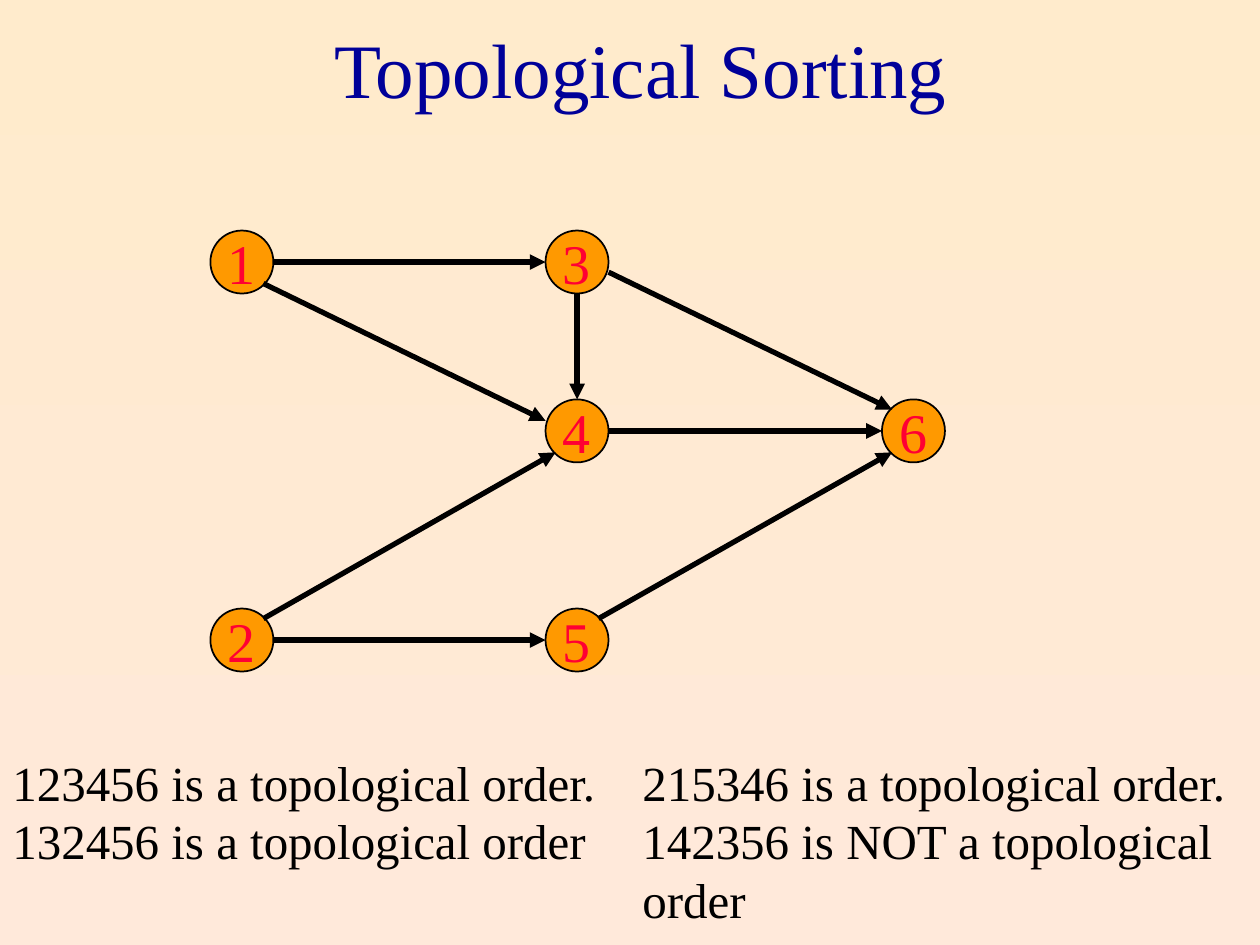
import pptx
import pptx.dml.color
import pptx.enum.shapes
import pptx.enum.text
import pptx.oxml
import pptx.oxml.ns
import pptx.util
from pptx.util import Inches

COLORS = {
    "sky": "FFEBCC",
    "ground": "FFE9DA",
    "title": "000099",
    "node": "FF9900",
    "label": "FF0033",
    "ink": "000000",
}
FONT = "Times New Roman"

# Graph layout, in inches from the top left of the graph's box
NODE_SIZE = 0.5
COLUMNS = (0, 2.66, 5.33)
ROWS = (0, 1.34, 3)
NODES = {"1": (0, 0), "4": (1, 1), "2": (0, 2), "5": (1, 2), "3": (1, 0), "6": (2, 1)}

# Points where arrows touch a node, in inches from its centre
PORTS = {
    "right": (0.25, 0),
    "left": (-0.25, 0),
    "top": (0, -0.25),
    "bottom": (0, 0.25),
    "upper right": (0.17, -0.17),
    "lower right": (0.17, 0.17),
    "upper left": (-0.17, -0.17),
    "lower left": (-0.17, 0.17),
    "left above": (-0.25, -0.08),
    "right below": (0.25, 0.08),
}
EDGES = [
    ("1", "right", "3", "left"),
    ("3", "bottom", "4", "top"),
    ("4", "right", "6", "left"),
    ("1", "lower right", "4", "left above"),
    ("3", "right below", "6", "upper left"),
    ("2", "upper right", "4", "lower left"),
    ("5", "upper right", "6", "lower left"),
    ("2", "right", "5", "left"),
]


def rgb(name):
    return pptx.dml.color.RGBColor.from_string(COLORS[name])


def write_text(shape, text, size, color, align="LEFT", anchor="TOP", wrap=False):
    """Write each line of the text as one formatted paragraph."""
    frame = shape.text_frame
    frame.text = text
    frame.word_wrap = wrap
    frame.auto_size = pptx.enum.text.MSO_AUTO_SIZE.NONE
    frame.vertical_anchor = getattr(pptx.enum.text.MSO_ANCHOR, anchor)
    for paragraph in frame.paragraphs:
        paragraph.alignment = getattr(pptx.enum.text.PP_ALIGN, align)
        paragraph.font.name = FONT
        paragraph.font.size = pptx.util.Pt(size)
        paragraph.font.color.rgb = rgb(color)


def paint_background(slide):
    fill = slide.background.fill
    fill.gradient()
    fill.gradient_angle = 270
    for stop, name in zip(fill.gradient_stops, ("sky", "ground")):
        stop.color.rgb = rgb(name)


def place_title(slide, text, left, top, width, height):
    title = slide.shapes.title
    title.left, title.top = Inches(left), Inches(top)
    title.width, title.height = Inches(width), Inches(height)
    write_text(title, text, 44, "title", align="CENTER", anchor="MIDDLE", wrap=True)


def add_node(slide, label, left, top):
    node = slide.shapes.add_shape(
        pptx.enum.shapes.MSO_SHAPE.OVAL,
        Inches(left), Inches(top), Inches(NODE_SIZE), Inches(NODE_SIZE))
    node.shadow.inherit = False
    node.fill.solid()
    node.fill.fore_color.rgb = rgb("node")
    node.line.color.rgb = rgb("ink")
    node.line.width = pptx.util.Pt(1)
    write_text(node, label, 32, "label", align="CENTER", anchor="MIDDLE")


def add_arrow(slide, start, end):
    arrow = slide.shapes.add_connector(
        pptx.enum.shapes.MSO_CONNECTOR.STRAIGHT,
        *(Inches(value) for value in start + end))
    arrow.line.color.rgb = rgb("ink")
    arrow.line.width = pptx.util.Pt(3)
    namespace = pptx.oxml.ns.nsdecls("a")
    arrow.line._get_or_add_ln().append(
        pptx.oxml.parse_xml(f'<a:tailEnd {namespace} type="triangle"/>'))
    arrow._element.spPr.append(pptx.oxml.parse_xml(f"<a:effectLst {namespace}/>"))


def draw_graph(slide, left, top):
    corners = {label: (left + COLUMNS[column], top + ROWS[row])
               for label, (column, row) in NODES.items()}

    def port(label, side):
        return tuple(corner + NODE_SIZE / 2 + offset
                     for corner, offset in zip(corners[label], PORTS[side]))

    for label, corner in corners.items():
        add_node(slide, label, *corner)
    for source, source_side, target, target_side in EDGES:
        add_arrow(slide, port(source, source_side), port(target, target_side))


def add_orders(slide, lines, left, top, width, height):
    box = slide.shapes.add_textbox(
        Inches(left), Inches(top), Inches(width), Inches(height))
    write_text(box, "\n".join(lines), 28, "ink")


def main():
    presentation = pptx.Presentation()
    presentation.slide_width, presentation.slide_height = Inches(10), Inches(7.5)
    slide = presentation.slides.add_slide(presentation.slide_layouts.get_by_name("Title Only"))

    paint_background(slide)
    place_title(slide, "Topological Sorting", 0.17, 0.08, 9.83, 0.92)
    draw_graph(slide, 1.67, 1.83)

    # Example orders below the graph
    add_orders(slide, ["123456 is a topological order.",
                       "132456 is a topological order"], 0, 5.92, 4.85, 1.04)
    add_orders(slide, ["215346 is a topological order.",
                       "142356 is NOT a topological",
                       "order"], 5, 5.92, 4.85, 1.5)

    presentation.save("out.pptx")


if __name__ == "__main__":
    main()
